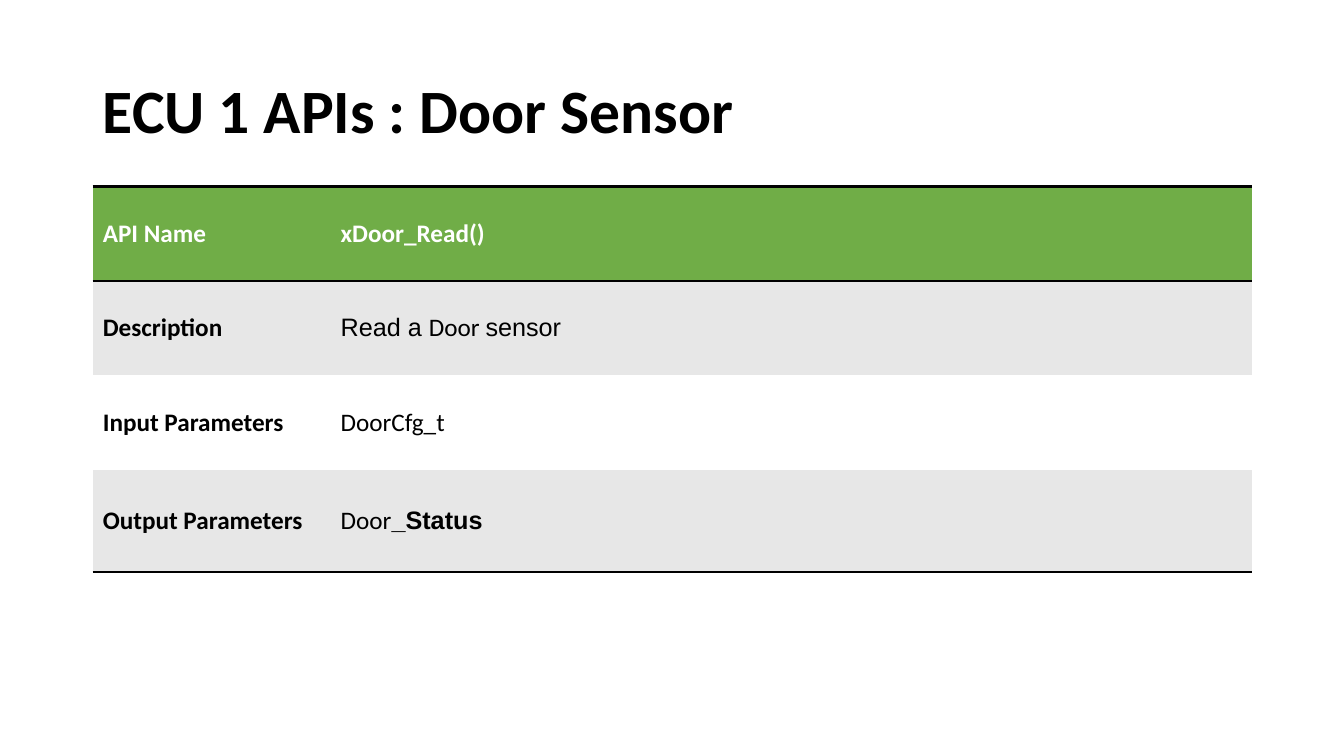
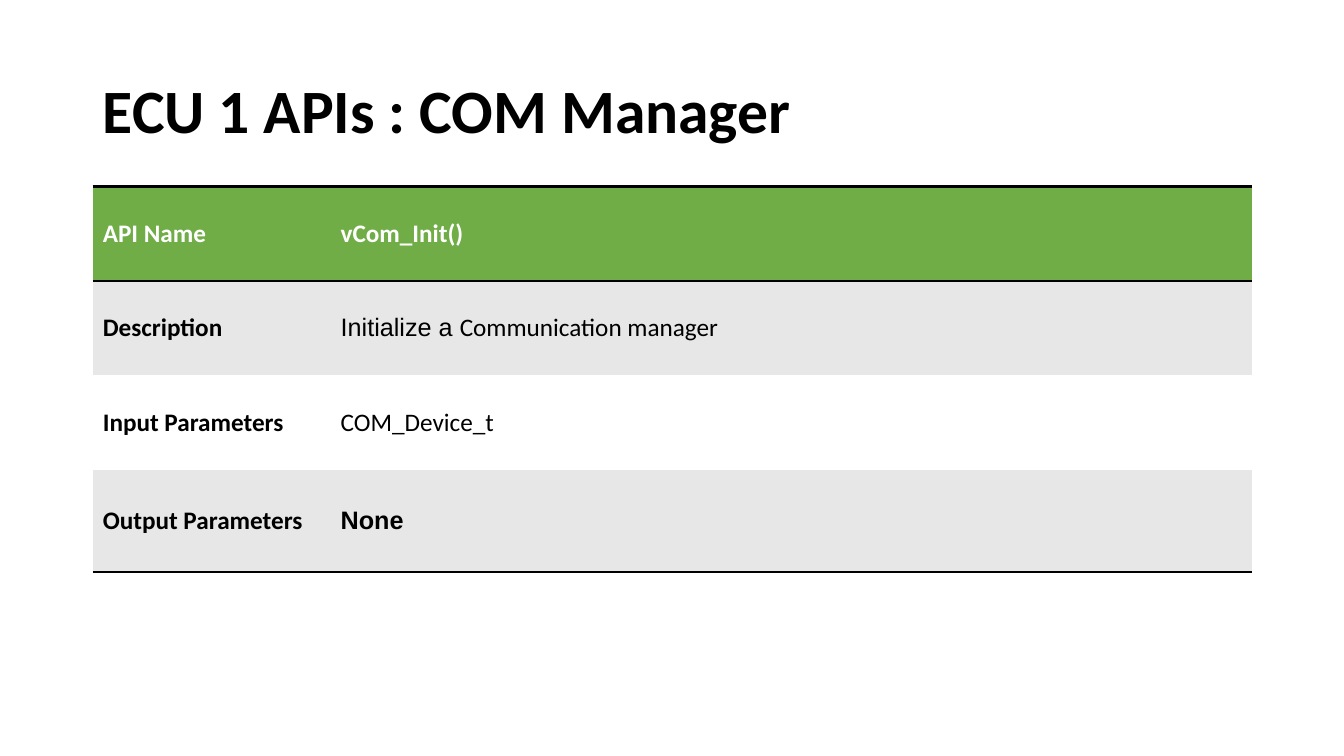
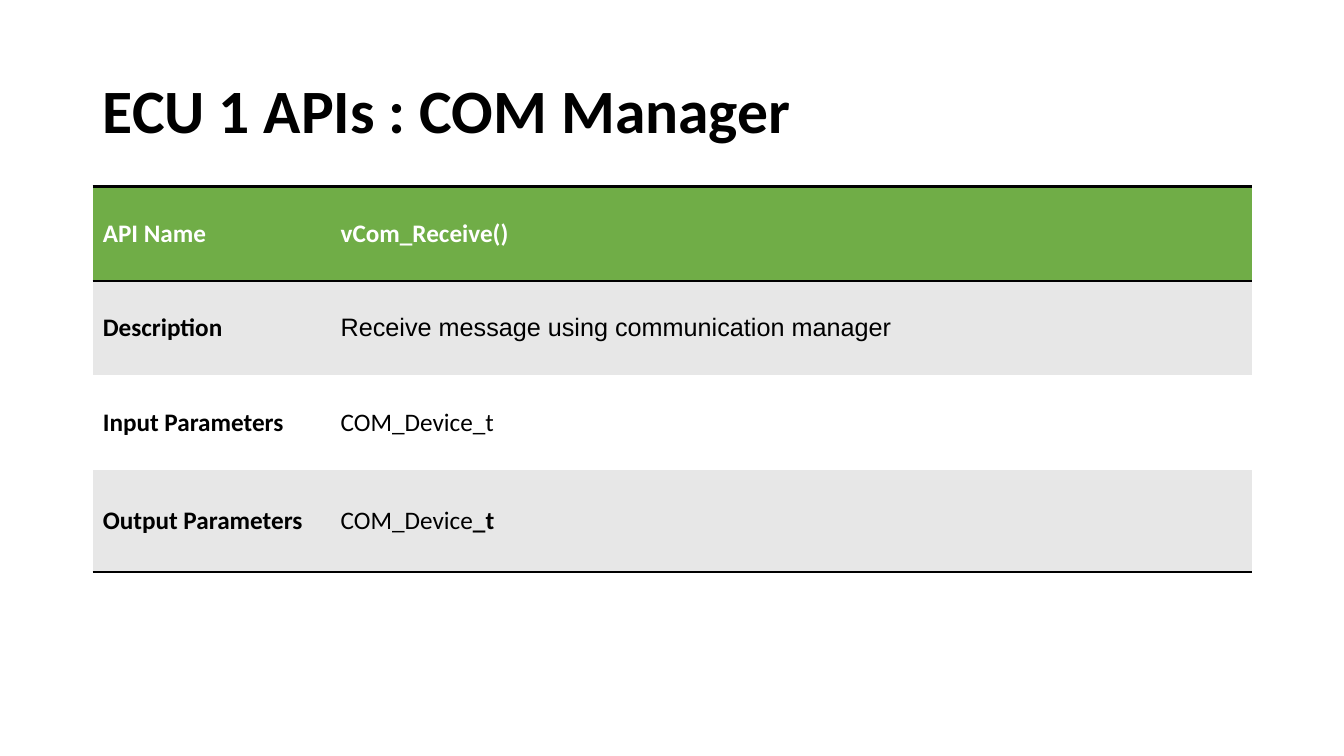
"""Builds three API reference slides, each a title above a four-row table."""
import pptx
import pptx.dml.color
import pptx.enum.text
import pptx.oxml
import pptx.oxml.ns
import pptx.util

BLACK, WHITE, GREEN, GREY = "000000", "FFFFFF", "70AD47", "E7E7E7"
ROW_FILLS = [GREEN, GREY, WHITE, GREY]
ROW_LABELS = ["API Name", "Description", "Input Parameters", "Output Parameters"]
RULED_SIDES = {0: ["lnT", "lnB"], 3: ["lnB"]}
PLAIN_STYLE = "{2D5ABB26-0587-4C30-8999-92F81FD0307C}"

PAGES = [
    ("ECU 1 APIs : Door Sensor", [
        [("xDoor_Read()", "Calibri", True)],
        [("Read a ", "Arial", False), ("Door ", "Calibri", False), ("sensor", "Arial", False)],
        [("DoorCfg_t", "Calibri", False)],
        [("Door", "Calibri", False), ("_Status", "Arial", True)],
    ]),
    ("ECU 1 APIs : COM Manager", [
        [("vCom_Init()", "Calibri", True)],
        [("Initialize a ", "Arial", False), ("Communication manager", "Calibri", False)],
        [("COM_Device_t", "Calibri", False)],
        [("None", "Arial", True)],
    ]),
    ("ECU 1 APIs : COM Manager", [
        [("vCom_Receive()", "Calibri", True)],
        [("Receive message using communication manager", "Arial", False)],
        [("COM_Device_t", "Calibri", False)],
        [("COM_Device", "Calibri", False), ("_t", "Calibri", True)],
    ]),
]


def color(value):
    """Turn a hex string into a colour."""
    return pptx.dml.color.RGBColor.from_string(value)


def style(span, size, face, bold, ink):
    """Format one run of text."""
    span.font.size = pptx.util.Pt(size)
    span.font.name = face
    span.font.bold = bold
    span.font.color.rgb = color(ink)


deck = pptx.Presentation()
deck.slide_width = pptx.util.Inches(13.33)
deck.slide_height = pptx.util.Inches(7.5)
column = deck.slide_width / 100
row = deck.slide_height / 100
left, width = int(6.9 * column), int(86.25 * column)
title_top, title_height = int(5.33 * row), int(19.33 * row)
table_top = title_top + title_height
label_width = int(17.7 * column)
row_heights = [int(share * row) for share in (12.5, 12.5, 12.5, 13.47)]

layout = deck.slide_layouts[5]
layout_title = layout.placeholders[0]
layout_title.left, layout_title.top = left, title_top
layout_title.width, layout_title.height = width, title_height

for heading, values in PAGES:
    page = deck.slides.add_slide(layout)
    title = page.shapes.title
    title.text_frame.text = heading
    title.text_frame.vertical_anchor = pptx.enum.text.MSO_ANCHOR.MIDDLE
    para = title.text_frame.paragraphs[0]
    para.alignment = pptx.enum.text.PP_ALIGN.LEFT
    para.line_spacing = 0.9
    style(para.runs[0], 44, "Calibri", True, BLACK)

    frame = page.shapes.add_table(4, 2, left, table_top, width, sum(row_heights))
    table = frame.table
    table.first_row = table.horz_banding = False
    table._tbl.tblPr.find(pptx.oxml.ns.qn("a:tableStyleId")).text = PLAIN_STYLE
    table.columns[0].width = label_width
    table.columns[1].width = width - label_width

    for index, label in enumerate(ROW_LABELS):
        table.rows[index].height = row_heights[index]
        ink = WHITE if index == 0 else BLACK
        for cell, spans in zip(table.rows[index].cells, ([(label, "Calibri", True)], values[index])):
            cell.vertical_anchor = pptx.enum.text.MSO_ANCHOR.MIDDLE
            cell.fill.solid()
            cell.fill.fore_color.rgb = color(ROW_FILLS[index])
            for text, face, bold in spans:
                span = cell.text_frame.paragraphs[0].add_run()
                span.text = text
                style(span, 18, face, bold, ink)
            for place, side in enumerate(RULED_SIDES.get(index, [])):
                rule = pptx.oxml.parse_xml(
                    f'<a:{side} {pptx.oxml.ns.nsdecls("a")} w="{pptx.util.Pt(2)}">'
                    f'<a:solidFill><a:srgbClr val="{BLACK}"/></a:solidFill></a:{side}>')
                cell._tc.get_or_add_tcPr().insert(place, rule)

deck.save("out.pptx")
